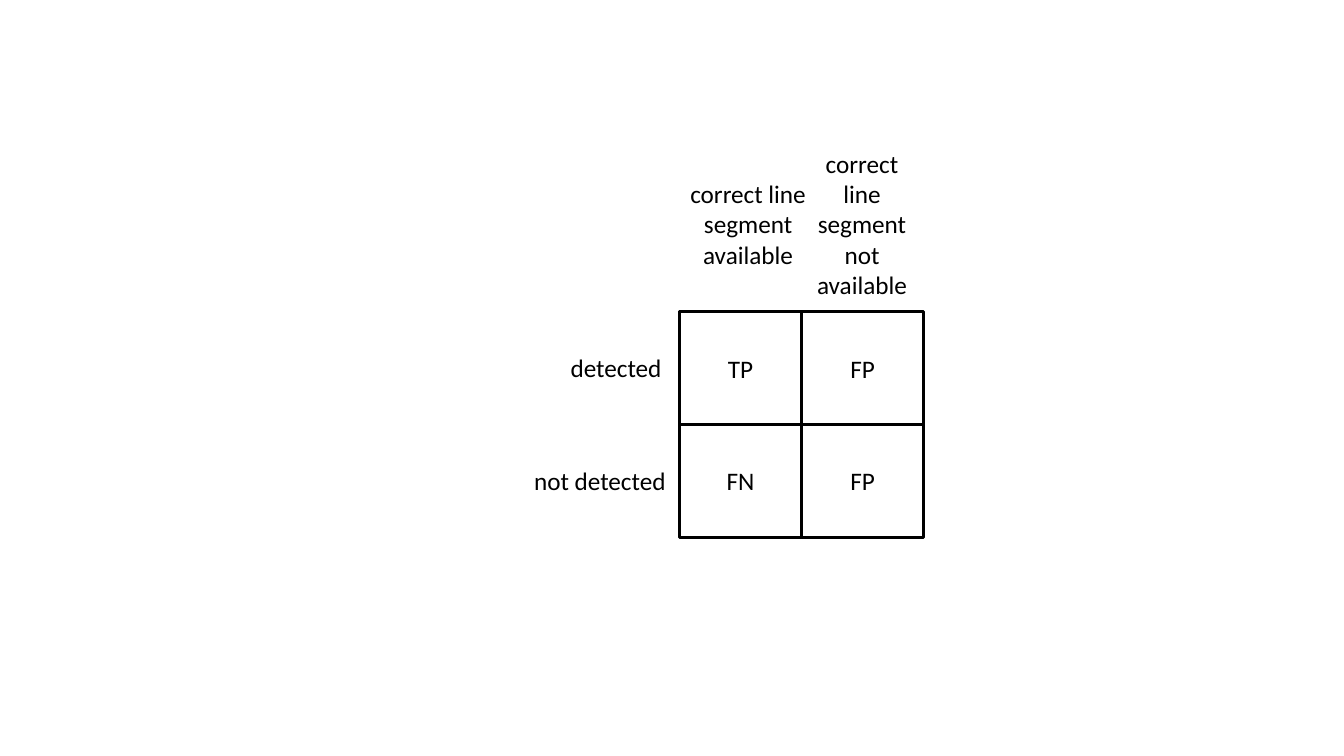
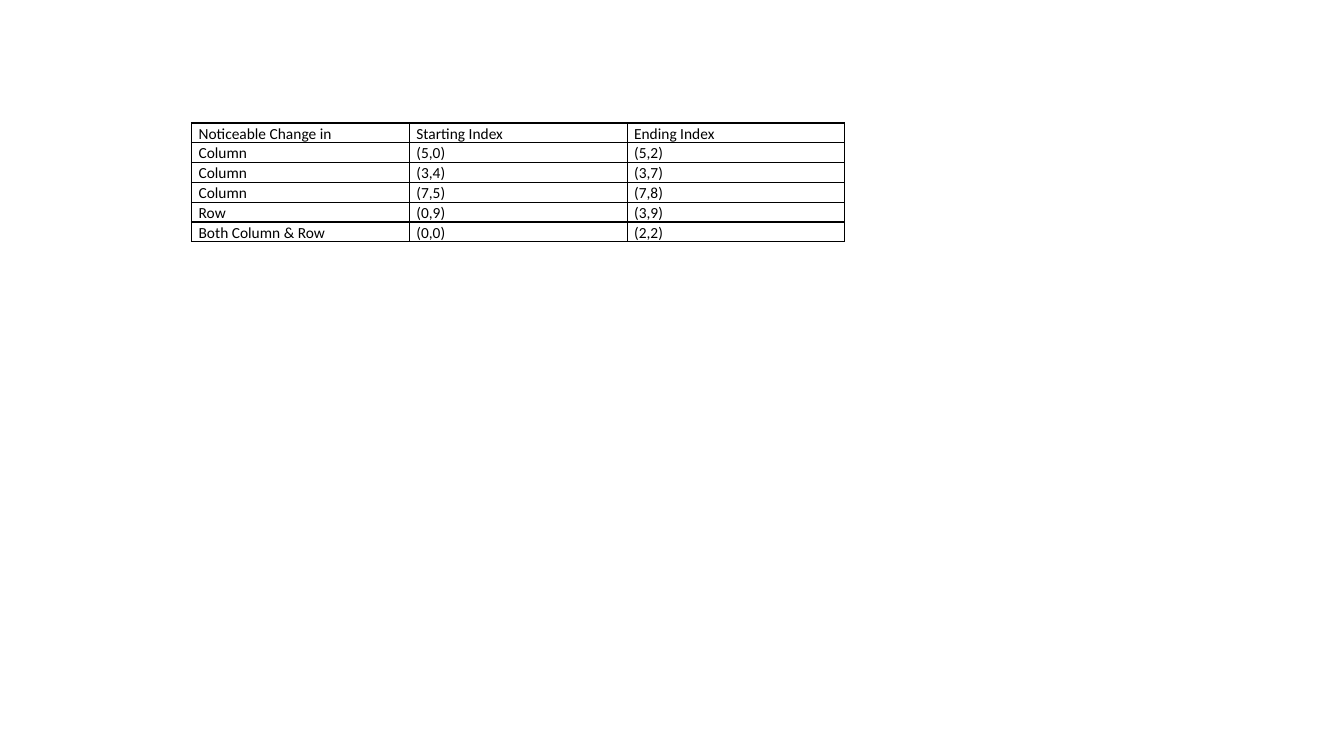
from dataclasses import dataclass

from lxml import etree
from pptx import Presentation
from pptx.dml.color import RGBColor
from pptx.enum.shapes import MSO_SHAPE
from pptx.enum.text import MSO_ANCHOR, MSO_AUTO_SIZE, PP_ALIGN
from pptx.oxml.ns import qn
from pptx.util import Inches, Pt

BLACK = RGBColor(0x00, 0x00, 0x00)
WHITE = RGBColor(0xFF, 0xFF, 0xFF)
FONT = "Calibri"
RECT = MSO_SHAPE.RECTANGLE
CENTER = PP_ALIGN.CENTER
MIDDLE = MSO_ANCHOR.MIDDLE
FIT_SHAPE = MSO_AUTO_SIZE.SHAPE_TO_FIT_TEXT

GRID_LEFT, GRID_TOP = 6.74, 3.09
CELL_W, CELL_H = 1.21, 1.12
MATRIX = [["TP", "FP"], ["FN", "FP"]]

TABLE_LEFT, TABLE_TOP = 1.9, 1.22
COL_W, ROW_H = 2.16, 0.19
INDEX_ROWS = [
    ("Noticeable Change in", "Starting Index", "Ending Index"),
    ("Column", "(5,0)", "(5,2)"),
    ("Column", "(3,4)", "(3,7)"),
    ("Column", "(7,5)", "(7,8)"),
    ("Row", "(0,9)", "(3,9)"),
    ("Both Column & Row", "(0,0)", "(2,2)"),
]


@dataclass(frozen=True)
class Box:
    left: float
    top: float
    width: float
    height: float

    def lengths(self):
        return [Inches(v) for v in (self.left, self.top, self.width, self.height)]


@dataclass(frozen=True)
class Label:
    box: Box
    lines: tuple[str, ...]
    wrap: bool = False


LABELS = [
    Label(Box(6.74, 1.72, 1.36, 1.01), ("correct line", "segment", "available")),
    Label(Box(7.95, 1.42, 1.2, 1.62), ("correct line", "segment", "not available"), True),
    Label(Box(5.55, 3.45, 1.12, 0.4), ("detected",)),
    Label(Box(5.19, 4.57, 1.52, 0.4), ("not detected",)),
]


def style_font(p, size: float) -> None:
    p.font.name = FONT
    p.font.size = Pt(size)
    p.font.color.rgb = BLACK


def write_centered(tf, lines: tuple[str, ...]) -> None:
    tf.text = "\n".join(lines)
    for p in tf.paragraphs:
        p.alignment = CENTER
        style_font(p, 18)


def add_rect(s, box: Box, line: RGBColor, weight: float):
    sp = s.shapes.add_shape(RECT, *box.lengths())
    sp.shadow.inherit = False
    sp.fill.solid()
    sp.fill.fore_color.rgb = WHITE
    sp.line.color.rgb = line
    sp.line.width = Pt(weight)
    return sp


def add_label(s, label: Label) -> None:
    tf = s.shapes.add_textbox(*label.box.lengths()).text_frame
    tf.word_wrap = label.wrap
    tf.auto_size = FIT_SHAPE
    write_centered(tf, label.lines)


def add_borders(cell) -> None:
    tc_pr = cell._tc.get_or_add_tcPr()
    for side in ("lnL", "lnR", "lnT", "lnB"):
        ln = etree.SubElement(tc_pr, qn(f"a:{side}"), w=str(Pt(1)))
        fill = etree.SubElement(ln, qn("a:solidFill"))
        etree.SubElement(fill, qn("a:srgbClr"), val=str(BLACK))


def fill_cell(cell, text: str) -> None:
    cell.margin_left = cell.margin_right = Inches(0.07)
    cell.margin_top = cell.margin_bottom = Inches(0)
    add_borders(cell)
    cell.fill.background()
    cell.text = text
    p = cell.text_frame.paragraphs[0]
    p.line_spacing = 1.07
    style_font(p, 11)


def build_matrix_slide(s) -> None:
    add_rect(s, Box(5.09, 1.34, 4.16, 4.07), WHITE, 1)
    for i, row in enumerate(MATRIX):
        for j, text in enumerate(row):
            box = Box(GRID_LEFT + j * CELL_W, GRID_TOP + i * CELL_H, CELL_W, CELL_H)
            tf = add_rect(s, box, BLACK, 2.25).text_frame
            tf.vertical_anchor = MIDDLE
            write_centered(tf, (text,))
    for label in LABELS:
        add_label(s, label)


def build_index_slide(s) -> None:
    n_rows, n_cols = len(INDEX_ROWS), len(INDEX_ROWS[0])
    box = Box(TABLE_LEFT, TABLE_TOP, n_cols * COL_W, n_rows * ROW_H)
    table = s.shapes.add_table(n_rows, n_cols, *box.lengths()).table
    table.first_row = False
    table.horz_banding = False
    for i, row in enumerate(INDEX_ROWS):
        for j, text in enumerate(row):
            fill_cell(table.cell(i, j), text)


def main() -> None:
    prs = Presentation()
    prs.slide_width = Inches(13.33)
    prs.slide_height = Inches(7.5)
    for build in (build_matrix_slide, build_index_slide):
        build(prs.slides.add_slide(prs.slide_layouts[6]))
    prs.save("out.pptx")


if __name__ == "__main__":
    main()
